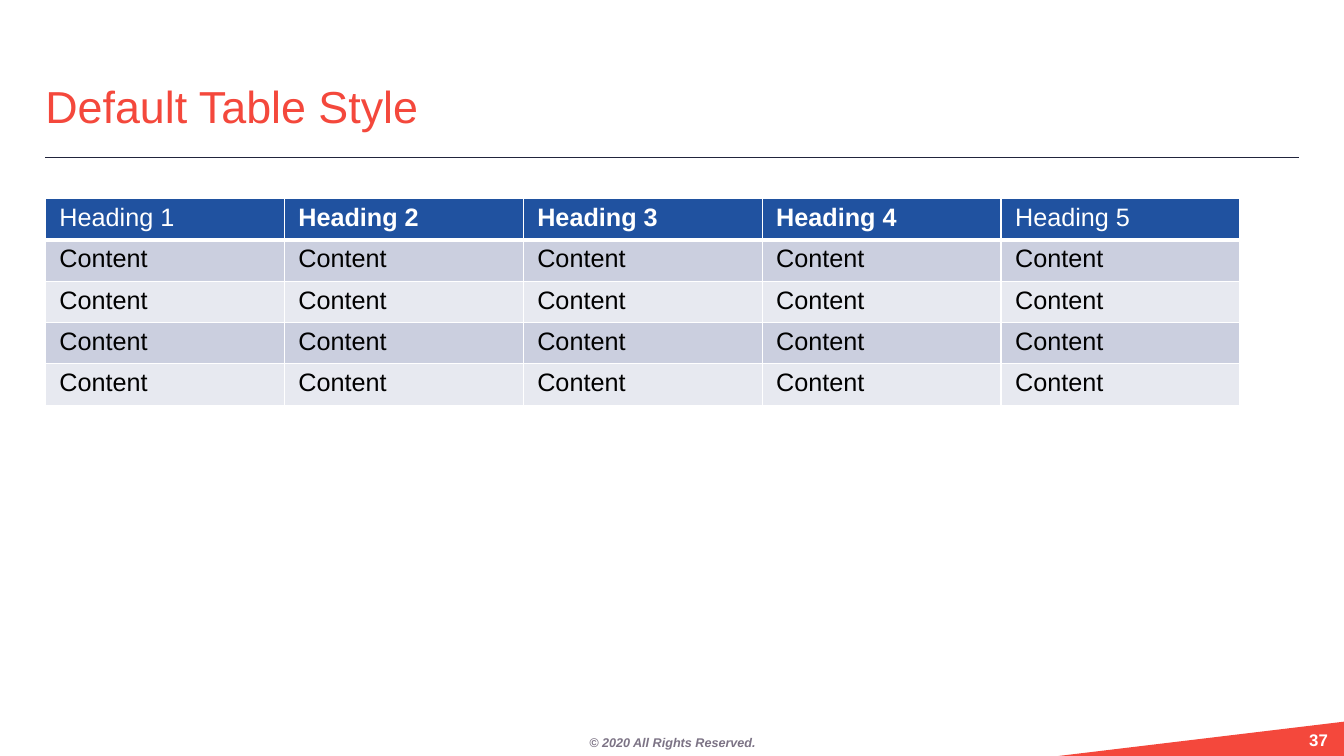
from pptx import Presentation
from pptx.dml.color import RGBColor
from pptx.enum.shapes import MSO_CONNECTOR, MSO_SHAPE
from pptx.enum.text import MSO_ANCHOR as ANCHOR, MSO_AUTO_SIZE, PP_ALIGN as ALIGN
from pptx.oxml.ns import qn
from pptx.util import Inches, Pt
from lxml.etree import SubElement

RED = "F4483C"
WHITE = "FFFFFF"
HEADER_BLUE = "2052A0"
BAND_FILLS = ["E7E9F0", "CBCFDF"]
COLUMNS, ROWS = 5, 5


def color(hex_code):
    return RGBColor.from_string(hex_code)


def format_text(frame, size, hex_code, anchor, align, bold=False, italic=False):
    """Style the single line of a text frame that has no margins."""
    frame.word_wrap = True
    frame.auto_size = MSO_AUTO_SIZE.NONE
    frame.vertical_anchor = anchor
    frame.margin_left = frame.margin_right = frame.margin_top = frame.margin_bottom = 0
    para = frame.paragraphs[0]
    para.alignment = align
    para.line_spacing = 0.9
    font = para.runs[0].font
    font.name, font.size, font.bold, font.italic = "Arial", Pt(size), bold, italic
    font.color.rgb = color(hex_code)


deck = Presentation()
deck.slide_width, deck.slide_height = Inches(13.33), Inches(7.5)
page = deck.slides.add_slide(deck.slide_layouts[5])
shapes = page.shapes

# Title and the rule below it
title = shapes.title
title.left, title.top = Inches(0.45), Inches(0.4)
title.width, title.height = Inches(11.92), Inches(0.92)
title.text_frame.text = "Default Table Style"
format_text(title.text_frame, 32, RED, ANCHOR.BOTTOM, ALIGN.LEFT)

rule = shapes.add_connector(
    MSO_CONNECTOR.STRAIGHT, Inches(0.45), Inches(1.56), Inches(12.88), Inches(1.56))
rule.line.color.rgb = color("21243C")
rule.line.width = Pt(0.75)
SubElement(rule._element.spPr, qn("a:effectLst"))

# Footer
corner = shapes.add_shape(
    MSO_SHAPE.ISOSCELES_TRIANGLE, Inches(10.5), Inches(7.16), Inches(2.83), Inches(0.34))
corner.adjustments[0] = 1
corner.shadow.inherit = False
corner.fill.solid()
corner.fill.fore_color.rgb = color(RED)
corner.line.fill.background()

copyright_box = shapes.add_textbox(Inches(4.67), Inches(7.25), Inches(4), Inches(0.25))
copyright_box.text_frame.text = "© 2020 All Rights Reserved."
format_text(copyright_box.text_frame, 9, "7C7385", ANCHOR.MIDDLE, ALIGN.CENTER,
            bold=True, italic=True)

number_box = shapes.add_textbox(Inches(12.65), Inches(7.26), Inches(0.52), Inches(0.18))
number_box.text_frame.text = "37"
format_text(number_box.text_frame, 12, WHITE, ANCHOR.MIDDLE, ALIGN.RIGHT, bold=True)

# Table: a blue header row above banded content rows
table = shapes.add_table(ROWS, COLUMNS, Inches(0.45), Inches(1.97),
                         Inches(2.37 * COLUMNS), Inches(0.41 * ROWS)).table
for column in table.columns:
    column.width = Inches(2.37)

for row_index, row in enumerate(table.rows):
    row.height = Inches(0.41)
    is_header = row_index == 0
    for column_index, cell in enumerate(row.cells):
        cell.text_frame.text = f"Heading {column_index + 1}" if is_header else "Content"
        cell.margin_left = cell.margin_right = Inches(0.14)
        cell.margin_top = cell.margin_bottom = Inches(0.05)
        font = cell.text_frame.paragraphs[0].runs[0].font
        font.name, font.size = "Arial", Pt(18)
        font.bold = is_header and 0 < column_index < COLUMNS - 1
        font.color.rgb = color(WHITE if is_header else "000000")

        properties = cell._tc.get_or_add_tcPr()
        for side in ("L", "R", "T", "B"):
            below_header = (row_index, side) in ((0, "B"), (1, "T"))
            border = SubElement(properties, qn(f"a:ln{side}"),
                                w=str(Pt(3 if below_header else 1)))
            border_fill = SubElement(border, qn("a:solidFill"))
            SubElement(border_fill, qn("a:srgbClr"), val=WHITE)
        cell.fill.solid()
        cell.fill.fore_color.rgb = color(
            HEADER_BLUE if is_header else BAND_FILLS[row_index % 2])

deck.save("out.pptx")
